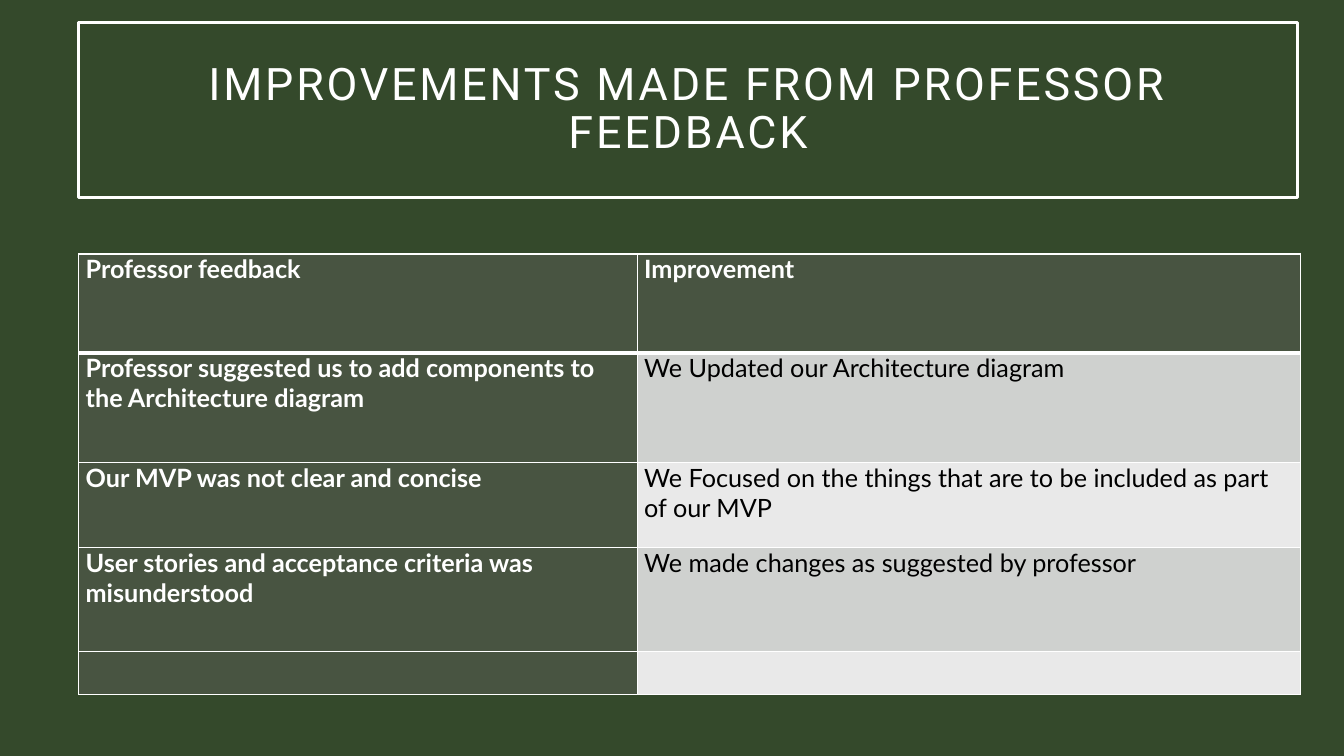
from lxml import etree
from pptx import Presentation
from pptx.dml.color import RGBColor
from pptx.enum.shapes import MSO_SHAPE
from pptx.enum.text import MSO_ANCHOR, PP_ALIGN
from pptx.oxml.ns import qn
from pptx.util import Inches, Pt

RECT = MSO_SHAPE.RECTANGLE
MIDDLE, TOP = MSO_ANCHOR.MIDDLE, MSO_ANCHOR.TOP
CENTER, LEFT = PP_ALIGN.CENTER, PP_ALIGN.LEFT

GREEN, CELL_GREEN = "34492B", "485441"
WHITE, BLACK = "FFFFFF", "000000"
BANDS = ("CFD1CF", "E9E9E9")

COLUMNS = (5.54, 6.58)
ROW_HEIGHTS = (0.98, 1.09, 0.84, 1.03, 0.43)
FEEDBACK = (
    ("Professor feedback", "Improvement"),
    ("Professor suggested us to add components to the Architecture diagram",
     "We Updated our Architecture diagram"),
    ("Our MVP was not clear and concise",
     "We Focused on the things that are to be included as part of our MVP"),
    ("User stories and acceptance criteria was misunderstood",
     "We made changes as suggested by professor"),
    ("", ""),
)


def rgb(value):
    return RGBColor.from_string(value)


def write(tf, text, font="Lato", size=18, color=WHITE, bold=False,
          align=LEFT, line_spacing=1.0, tracking=0):
    p = tf.paragraphs[0]
    p.alignment = align
    p.line_spacing = line_spacing
    p.font.size = Pt(size)
    if not text:
        return
    r = p.add_run()
    r.text = text
    r.font.name = font
    r.font.size = Pt(size)
    r.font.bold = bold
    r.font.color.rgb = rgb(color)
    if tracking:
        r.font._element.set("spc", str(tracking * 100))


def set_borders(cell, top=1, bottom=1):
    """Draw white cell borders, with widths in points."""
    tcPr = cell._tc.get_or_add_tcPr()
    widths = {"lnL": 1, "lnR": 1, "lnT": top, "lnB": bottom}
    for i, (side, width) in enumerate(widths.items()):
        ln = etree.Element(qn(f"a:{side}"), w=str(Pt(width)))
        fill = etree.SubElement(ln, qn("a:solidFill"))
        etree.SubElement(fill, qn("a:srgbClr"), val=WHITE)
        tcPr.insert(i, ln)


class SlideBuilder:
    def __init__(self, prs):
        self.s = prs.slides.add_slide(prs.slide_layouts[6])
        self.s.background.fill.solid()
        self.s.background.fill.fore_color.rgb = rgb(GREEN)

    def title(self, text, x, y, w, h):
        sp = self.s.shapes.add_shape(RECT, Inches(x), Inches(y), Inches(w), Inches(h))
        sp.shadow.inherit = False
        sp.fill.background()
        sp.line.color.rgb = rgb(WHITE)
        sp.line.width = Pt(2.25)
        tf = sp.text_frame
        tf.word_wrap = True
        tf.vertical_anchor = MIDDLE
        write(tf, text, font="Roboto", size=32, align=CENTER,
              line_spacing=0.9, tracking=2)

    def table(self, rows, x, y, widths, heights):
        frame = self.s.shapes.add_table(
            len(rows), len(widths), Inches(x), Inches(y),
            Inches(sum(widths)), Inches(sum(heights)))
        table = frame.table
        for column, width in zip(table.columns, widths):
            column.width = Inches(width)
        for i, (texts, height) in enumerate(zip(rows, heights)):
            table.rows[i].height = Inches(height)
            for j, text in enumerate(texts):
                self.cell(table.cell(i, j), text, i, j)

    def cell(self, cell, text, row, column):
        heading = row == 0 or column == 0
        cell.margin_left = cell.margin_right = Inches(0.07)
        cell.margin_top = cell.margin_bottom = 0
        cell.vertical_anchor = TOP
        cell.fill.solid()
        cell.fill.fore_color.rgb = rgb(CELL_GREEN if heading else BANDS[(row - 1) % 2])
        # A thick rule separates the header from the body
        set_borders(cell, top=3 if row == 1 else 1, bottom=3 if row == 0 else 1)
        write(cell.text_frame, text, color=WHITE if heading else BLACK, bold=heading)


def main():
    prs = Presentation()
    prs.slide_width, prs.slide_height = Inches(13.33), Inches(7.5)
    slide = SlideBuilder(prs)

    # Title box
    slide.title("IMPROVEMENTS MADE FROM PROFESSOR FEEDBACK", 0.78, 0.22, 12.09, 1.74)

    # Feedback table
    slide.table(FEEDBACK, 0.78, 2.52, COLUMNS, ROW_HEIGHTS)

    prs.save("out.pptx")


if __name__ == "__main__":
    main()
